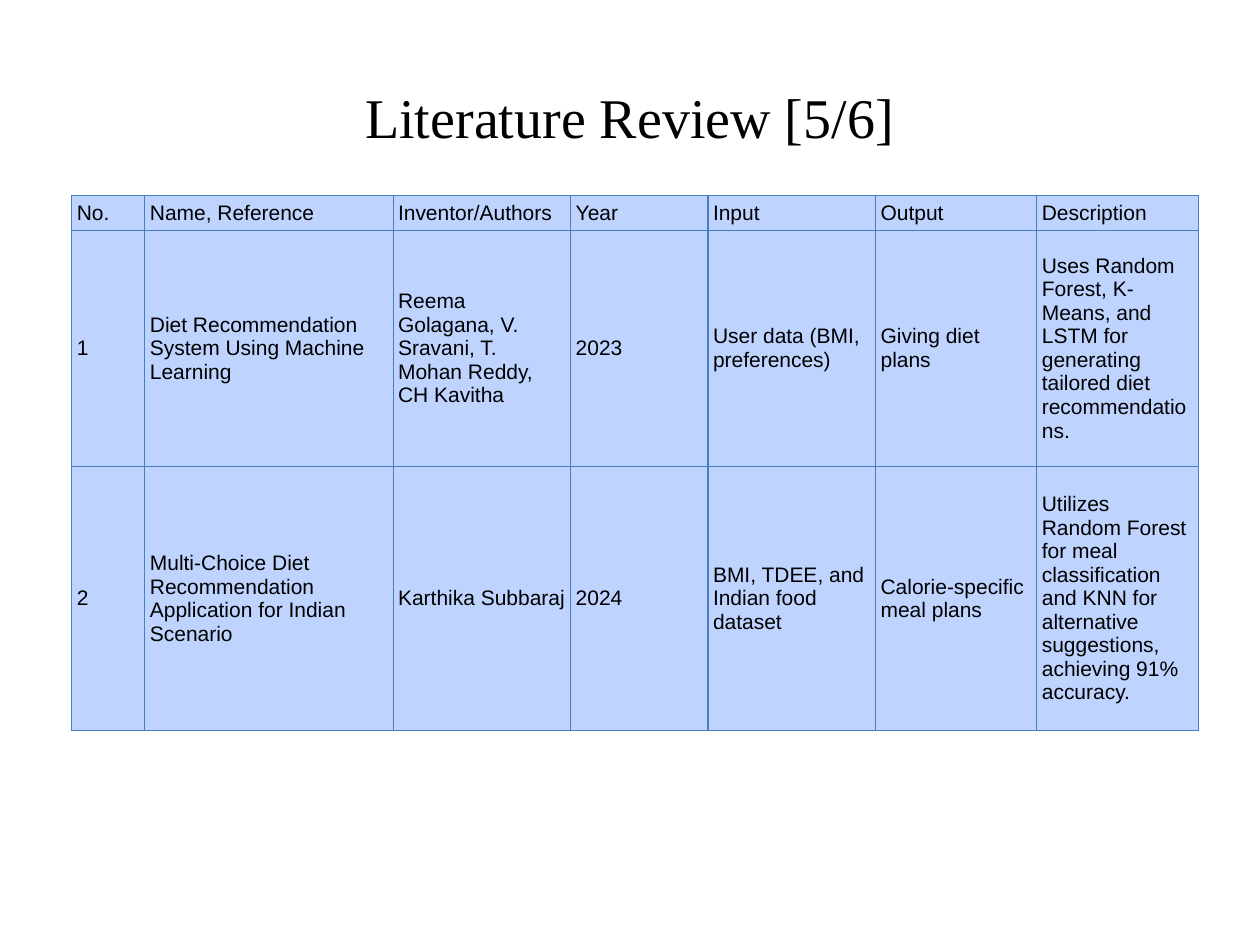
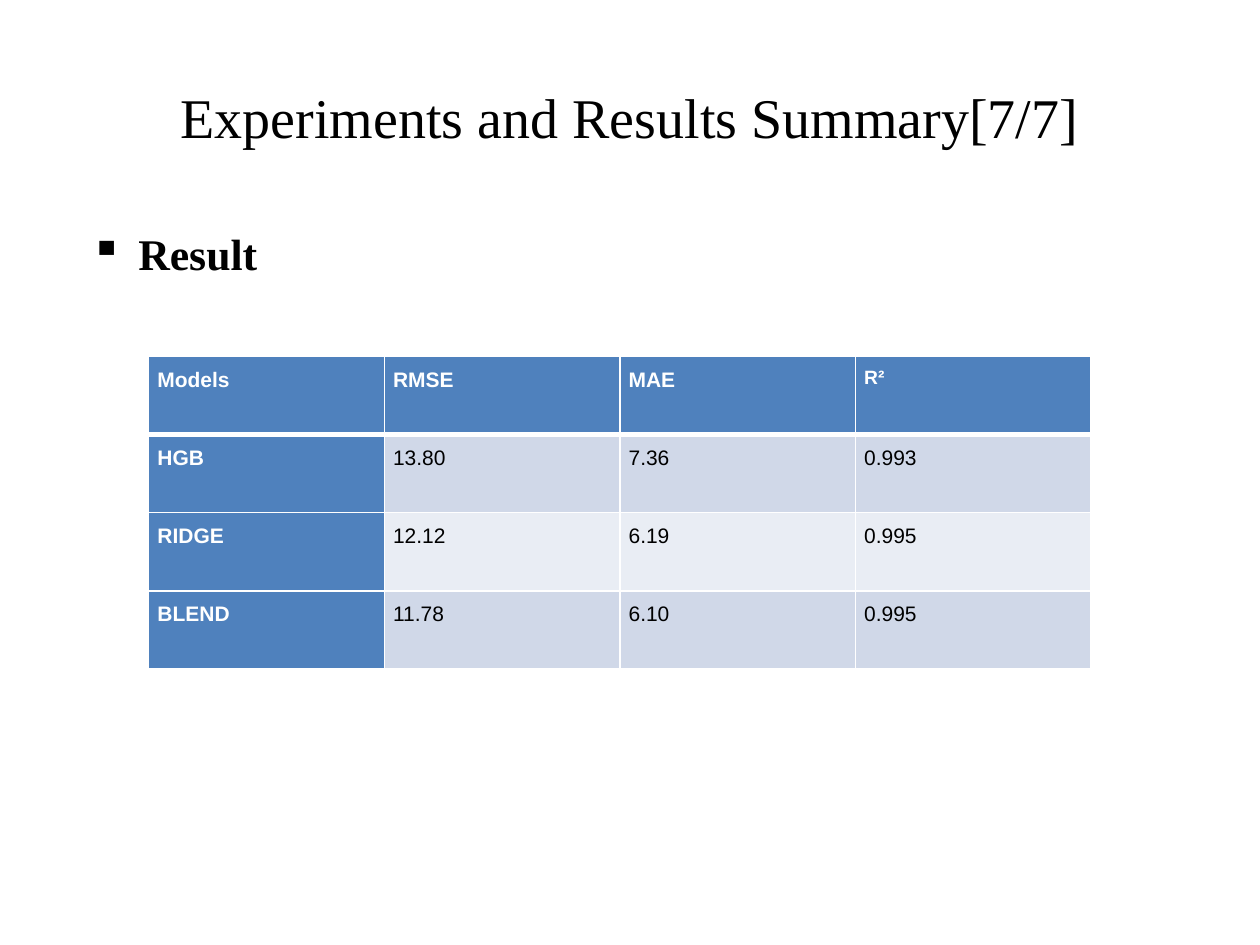
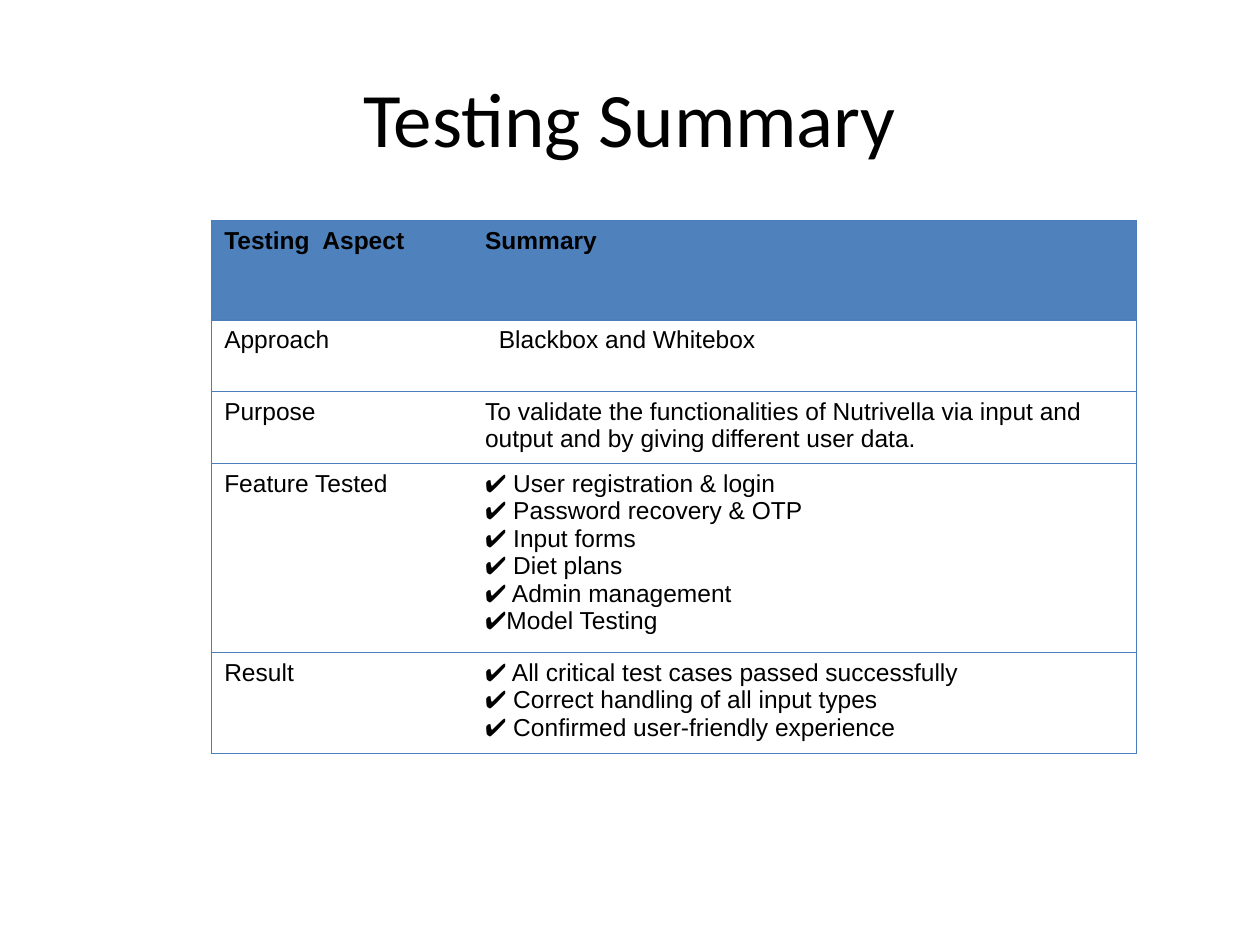
from dataclasses import dataclass

from lxml.etree import SubElement
from pptx import Presentation
from pptx.dml.color import RGBColor
from pptx.enum.text import MSO_ANCHOR, PP_ALIGN
from pptx.oxml.ns import qn
from pptx.util import Inches, Pt


@dataclass(frozen=True)
class Theme:
    black: str = "000000"
    white: str = "FFFFFF"
    blue: str = "4F81BD"
    rule: str = "4B7EBC"
    sky: str = "BFD3FF"
    band_dark: str = "D0D8E8"
    band_light: str = "E9EDF4"
    serif: str = "Times New Roman"
    sans: str = "Arial"
    plain: str = "Calibri"
    title: int = 32
    big_title: int = 44
    bullet: int = 25
    body: int = 14
    cell: int = 12
    small: int = 11


T = Theme()
TITLE_BOX = (0.5, 0.3, 9, 1.25)


def write(tf, text, *, size=T.cell, font=T.sans, color=T.black, bold=False,
          align=None, anchor=None, spacing=None):
    tf.word_wrap = True
    if anchor is not None:
        tf.vertical_anchor = anchor
    for i, line in enumerate(text.split("\n")):
        p = tf.add_paragraph() if i else tf.paragraphs[0]
        p.alignment = align
        p.line_spacing = spacing
        r = p.add_run()
        r.text = line
        r.font.size, r.font.name, r.font.bold = Pt(size), font, bold
        r.font.color.rgb = RGBColor.from_string(color)


def add_text(s, box, text, **fmt):
    tf = s.shapes.add_textbox(*map(Inches, box)).text_frame
    write(tf, text, **fmt)
    return tf


def add_title(s, text, size=T.title, font=T.serif):
    add_text(s, TITLE_BOX, text, size=size, font=font,
             align=PP_ALIGN.CENTER, anchor=MSO_ANCHOR.MIDDLE)


def add_bullet(s, box, text):
    tf = add_text(s, box, text, size=T.bullet, font=T.serif, bold=True)
    p = tf.paragraphs[0]
    p.space_before = Pt(3.6)
    pPr = p._p.get_or_add_pPr()
    pPr.set("marL", str(Inches(0.5)))
    pPr.set("indent", str(Inches(-0.38)))
    SubElement(pPr, qn("a:buChar"), char="▪")


def set_borders(cell, sides):
    tcPr = cell._tc.get_or_add_tcPr()
    for i, side in enumerate("LRTB"):
        color, width = sides.get(side, (None, 0))
        ln = SubElement(tcPr, qn(f"a:ln{side}"), w=str(Pt(width)))
        tcPr.insert(i, ln)
        if color:
            SubElement(SubElement(ln, qn("a:solidFill")), qn("a:srgbClr"), val=color)
        else:
            SubElement(ln, qn("a:noFill"))


def add_grid(s, left, top, widths, heights, rows, style, margins=(0.1, 0.05)):
    frame = s.shapes.add_table(len(heights), len(widths), Inches(left), Inches(top),
                               Inches(sum(widths)), Inches(sum(heights)))
    table = frame.table
    table.first_row = table.horz_banding = False
    for col, width in zip(table.columns, widths):
        col.width = Inches(width)
    for row, height in zip(table.rows, heights):
        row.height = Inches(height)
    for i, row in enumerate(rows):
        for j, text in enumerate(row):
            cell = table.cell(i, j)
            fill, borders, fmt = style(i, j)
            cell.margin_left = cell.margin_right = Inches(margins[0])
            cell.margin_top = cell.margin_bottom = Inches(margins[1])
            if "anchor" in fmt:
                cell.vertical_anchor = fmt.pop("anchor")
            if fill:
                cell.fill.solid()
                cell.fill.fore_color.rgb = RGBColor.from_string(fill)
            else:
                cell.fill.background()
            set_borders(cell, borders)
            write(cell.text_frame, text, **fmt)
    return table


def literature_slide(s):
    def style(i, j):
        return T.sky, dict.fromkeys("LRTB", (T.rule, 0.75)), {"anchor": MSO_ANCHOR.MIDDLE}

    add_title(s, "Literature Review [5/6]")
    rows = [
        ("No.", "Name, Reference", "Inventor/Authors", "Year", "Input", "Output", "Description"),
        ("1", "Diet Recommendation System Using Machine Learning",
         "Reema Golagana, V. Sravani, T. Mohan Reddy, CH Kavitha", "2023",
         "User data (BMI, preferences)", "Giving diet plans",
         "Uses Random Forest, K-Means, and LSTM for generating tailored diet recommendations."),
        ("2", "Multi-Choice Diet Recommendation Application for Indian Scenario",
         "Karthika Subbaraj", "2024", "BMI, TDEE, and Indian food dataset",
         "Calorie-specific meal plans",
         "Utilizes Random Forest for meal classification and KNN for alternative "
         "suggestions, achieving 91% accuracy."),
    ]
    add_grid(s, 0.57, 1.55, (0.58, 1.97, 1.41, 1.09, 1.33, 1.28, 1.28),
             (0.28, 1.87, 2.1), rows, style, margins=(0.04, 0.02))


def results_slide(s):
    def style(i, j):
        head = i == 0 or j == 0
        fill = T.blue if head else (T.band_light, T.band_dark)[i % 2]
        borders = dict.fromkeys("LRTB", (T.white, 1))
        if i < 2:
            borders["TB"[i == 0]] = (T.white, 3)
        return fill, borders, {
            "color": T.white if head else T.black, "bold": head,
            "size": T.small if (i, j) == (0, 3) else T.cell,
            "align": PP_ALIGN.JUSTIFY, "spacing": 1.5}

    add_title(s, "Experiments and Results Summary[7/7]")
    add_bullet(s, (0.5, 1.75, 9, 0.61), "Result")
    rows = [
        ("Models", "RMSE", "MAE", "R²"),
        ("HGB", "13.80", "7.36", "0.993"),
        ("RIDGE", "12.12", "6.19", "0.995"),
        ("BLEND", "11.78", "6.10", "0.995"),
    ]
    add_grid(s, 1.18, 2.83, [1.87] * 4, [0.62] * 4, rows, style, margins=(0.07, 0))


def testing_slide(s):
    def style(i, j):
        line = (T.rule, 0.75)
        borders = {"LR"[j]: line, "T": line, "B": line}
        return T.blue if i == 0 else None, borders, {"size": T.body, "bold": i == 0}

    add_title(s, "Testing Summary", size=T.big_title, font=T.plain)
    rows = [
        ("Testing  Aspect", "Summary"),
        ("Approach", "Blackbox and Whitebox"),
        ("Purpose", "To validate the functionalities of Nutrivella via input and "
                    "output and by giving different user data."),
        ("Feature Tested", "✔ User registration & login\n✔ Password recovery & OTP\n"
                           "✔ Input forms\n✔ Diet plans\n✔ Admin management\n✔Model Testing"),
        ("Result", "✔ All critical test cases passed successfully\n"
                   "✔ Correct handling of all input types\n"
                   "✔ Confirmed user-friendly experience"),
    ]
    table = add_grid(s, 1.68, 1.75, (2.07, 5.27), (0.79, 0.57, 0.57, 1.41, 0.79), rows, style)
    table.cell(1, 1).margin_left = Inches(0.21)


def main():
    prs = Presentation()
    prs.slide_width, prs.slide_height = Inches(10), Inches(7.5)
    for build in (literature_slide, results_slide, testing_slide):
        build(prs.slides.add_slide(prs.slide_layouts[6]))
    prs.save("out.pptx")


if __name__ == "__main__":
    main()
